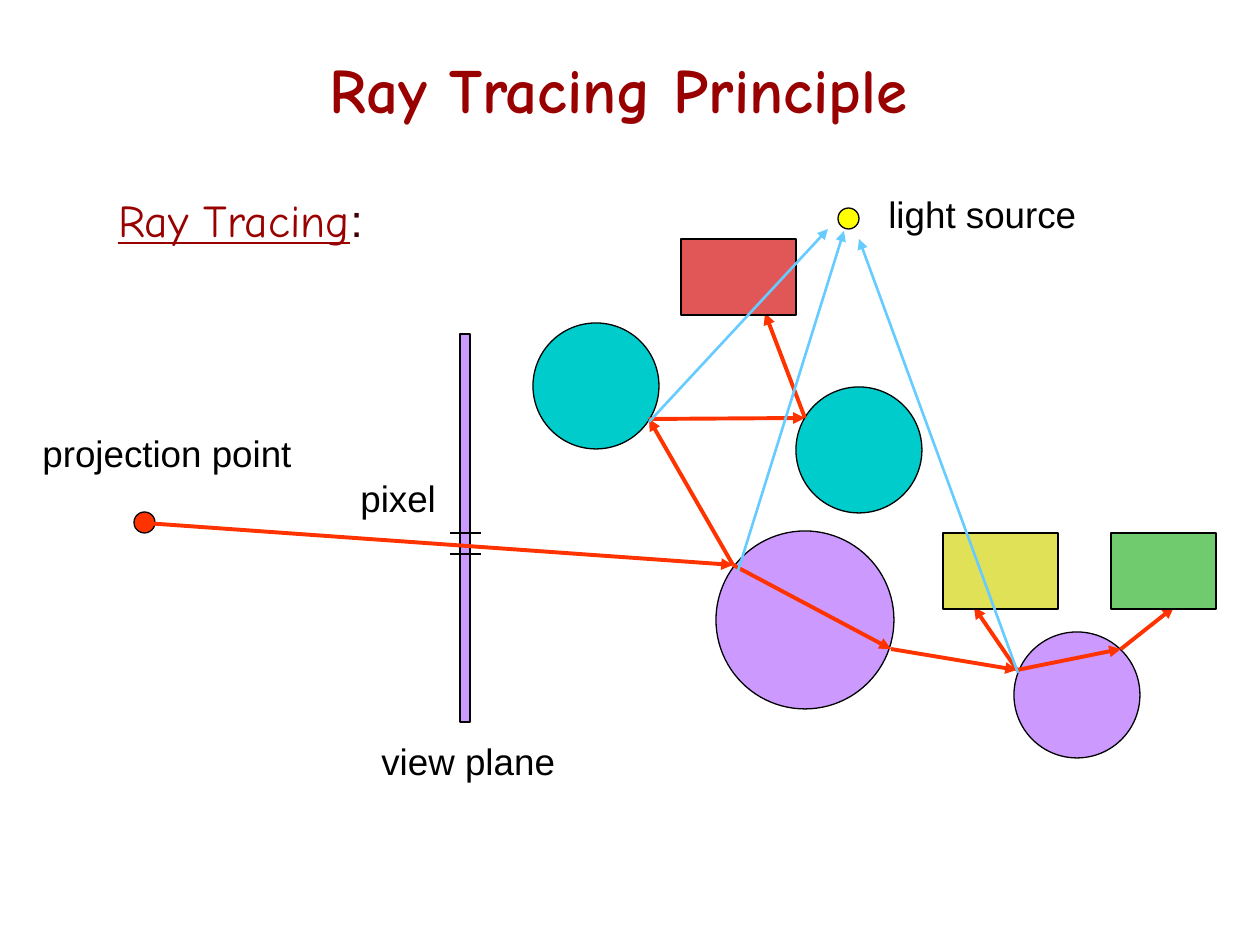
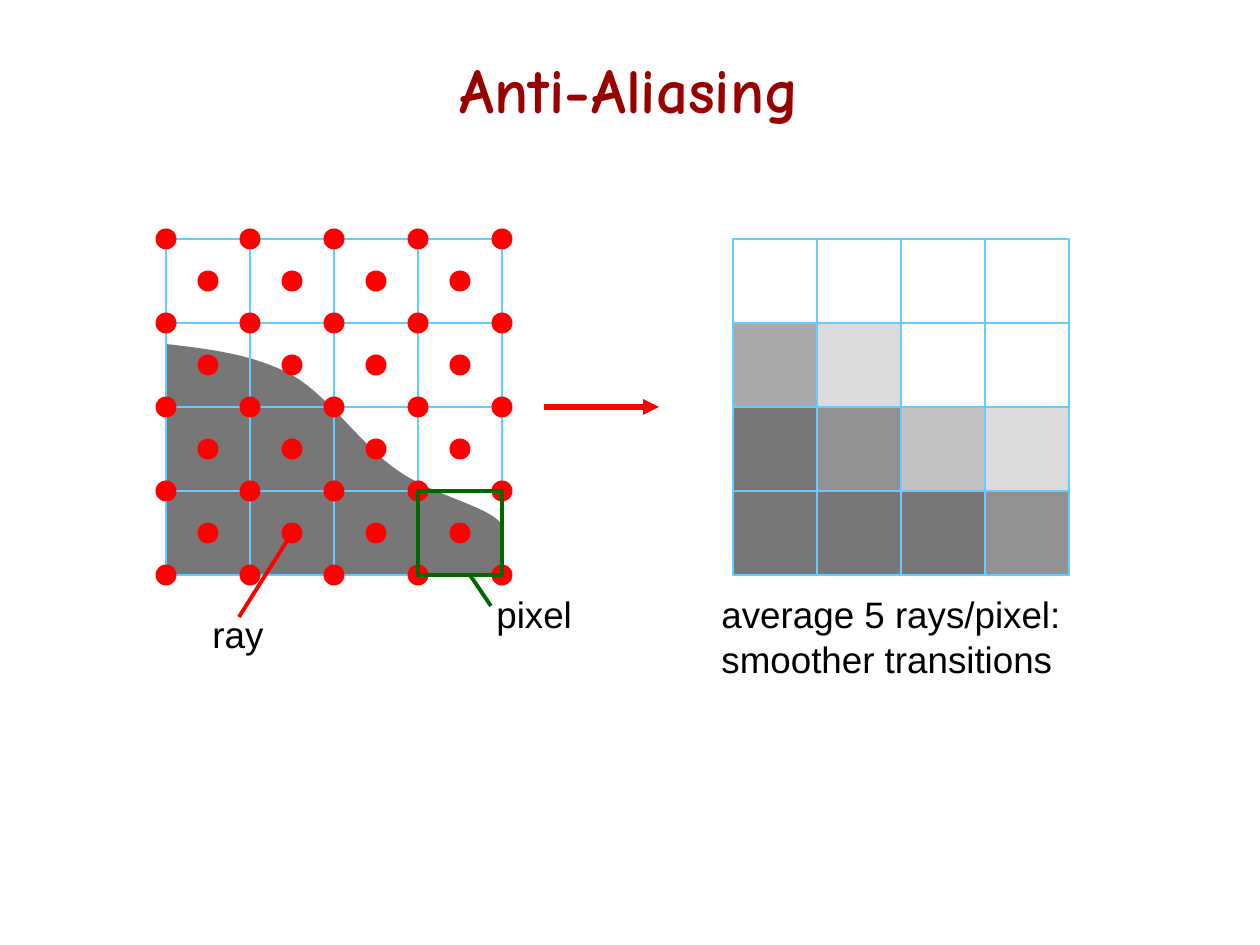
from dataclasses import dataclass
from itertools import product
from lxml.etree import SubElement as Sub
from pptx import Presentation
from pptx.dml.color import RGBColor as RGB
from pptx.enum.shapes import MSO_CONNECTOR as Conn, MSO_SHAPE as Geo
from pptx.enum.text import MSO_ANCHOR as Anchor, MSO_AUTO_SIZE as Auto, PP_ALIGN as Align
from pptx.oxml.ns import qn
from pptx.util import Emu, Pt


@dataclass(frozen=True)
class Theme:
    head: str = "Comic Neue"
    body: str = "Arial"
    big: int = 36
    mid: int = 26
    small: int = 21
    wine: str = "990000"
    brown: str = "400000"
    black: str = "000000"
    flame: str = "FF3300"
    red: str = "FF0000"
    sky: str = "66CCFF"
    lilac: str = "CC99FF"
    teal: str = "00CCCC"
    rose: str = "E15757"
    lemon: str = "E1E157"
    green: str = "70CA6E"
    sun: str = "FFFF00"
    pine: str = "006600"
    dark: str = "777777"
    thin: float = 0.75
    line: float = 1.5
    bold: float = 2.25
    thick: float = 3


T = Theme()
UNIT = 914400 / 126
SIZE = (1260, 945)
TITLE = (94, 32, 1071, 113)

# Slide 1: scene from back to front; a ray runs from its start to its tip
EYE, BALL, LEFT, RIGHT = (145, 523), (733, 565), (649, 419), (805, 418)
EXIT, ORB, REAR = (891, 649), (1017, 670), (1121, 649)
SCENE = [
    ("oval", T.flame, (134, 512, 21, 21)),
    ("rect", T.lilac, (460, 334, 10, 388)),
    ("oval", T.lilac, (716, 531, 178, 178)),
    ("oval", T.teal, (533, 323, 126, 126)),
    ("ray", EYE, BALL),
    ("ray", BALL, LEFT),
    ("ray", LEFT, RIGHT),
    ("oval", T.teal, (796, 387, 126, 126)),
    ("ray", BALL, EXIT),
    ("ray", EXIT, ORB),
    ("oval", T.lilac, (1014, 632, 126, 126)),
    ("ray", ORB, REAR),
    ("ray", REAR, (1174, 607)),
    ("ray", ORB, (974, 607)),
    ("ray", RIGHT, (765, 313)),
    ("rect", T.rose, (681, 239, 115, 76)),
    ("tick", (450, 533), (481, 533)),
    ("tick", (450, 554), (481, 554)),
    ("rect", T.lemon, (943, 533, 115, 76)),
    ("rect", T.green, (1111, 533, 105, 76)),
    ("oval", T.sun, (838, 208, 21, 21)),
    ("light", (738, 571), (844, 231)),
    ("light", (649, 422), (828, 229)),
    ("light", (1018, 673), (859, 239)),
]
LINES = {  # colour, width, arrow
    "ray": (T.flame, T.bold, True),
    "tick": (T.black, T.thin, False),
    "light": (T.sky, T.line, True),
}
NAMES = [
    (["view plane"], (369, 733, 199, 57)),
    (["projection point"], (30, 425, 275, 57)),
    (["pixel"], (348, 470, 101, 57)),
    (["light source"], (876, 186, 213, 57)),
]

# Slide 2: two grids of equal cells
CELL, COUNT, TOP, DOT = 84, 4, 239, 21
RAYS, MEANS = 166, 733
START = (166, 344)
CURVE = [
    ((209, 349), (253, 354), (292, 375)),
    ((330, 397), (362, 446), (397, 470)),
    ((432, 495), (485, 505), (501, 523)),
]
FOOT = [(502, 575), (166, 575)]
TONES = [  # column, row, cells wide, fill
    (0, 3, 3, T.dark), (0, 2, 1, T.dark), (0, 1, 1, "A9A9A9"),
    (1, 2, 1, "919191"), (3, 3, 1, "919191"), (3, 2, 1, "DBDBDB"),
    (2, 2, 1, "C2C2C2"), (1, 1, 1, "DBDBDB"),
]
NOTES = [
    (["pixel"], (484, 586, 101, 57)),
    (["ray"], (200, 606, 76, 57)),
    (["average 5 rays/pixel:", "smoother transitions"], (709, 586, 374, 101)),
]


def emu(*vals):
    return [Emu(round(v * UNIT)) for v in vals]


def paint(item, fill, edge, width):
    item.shadow.inherit = False
    if fill:
        item.fill.solid()
        item.fill.fore_color.rgb = RGB.from_string(fill)
    else:
        item.fill.background()
    if edge:
        item.line.color.rgb = RGB.from_string(edge)
        item.line.width = Pt(width)
    else:
        item.line.fill.background()
    return item


def shape(page, geo, box, fill=None, edge=None, width=T.line):
    return paint(page.shapes.add_shape(geo, *emu(*box)), fill, edge, width)


def link(page, start, end, color, width, arrow=False):
    item = page.shapes.add_connector(Conn.STRAIGHT, *emu(*start, *end))
    item.line.color.rgb = RGB.from_string(color)
    item.line.width = Pt(width)
    prop = item._element.spPr
    if arrow:
        Sub(prop.find(qn("a:ln")), qn("a:tailEnd"), type="triangle")
    Sub(prop, qn("a:effectLst"))
    return item


def add_run(para, text, font, size, color, **style):
    run = para.add_run()
    run.text = text
    run.font.name, run.font.size = font, Pt(size)
    run.font.color.rgb = RGB.from_string(color)
    for key, val in style.items():
        setattr(run.font, key, val)


def text_box(page, box, wrap=True):
    frame = page.shapes.add_textbox(*emu(*box)).text_frame
    frame.word_wrap = wrap
    return frame


def labels(page, items):
    for rows, box in items:
        frame = text_box(page, box, False)
        frame.auto_size = Auto.SHAPE_TO_FIT_TEXT
        for i, row in enumerate(rows):
            para = frame.add_paragraph() if i else frame.paragraphs[0]
            add_run(para, row, T.body, T.small, T.black)


def new_page(deck, title):
    page = deck.slides.add_slide(deck.slide_layouts[6])
    frame = text_box(page, TITLE)
    frame.vertical_anchor = Anchor.MIDDLE
    para = frame.paragraphs[0]
    para.alignment = Align.CENTER
    add_run(para, title, T.head, T.big, T.wine, bold=True)
    return page


def grid(page, left):
    side = CELL * COUNT
    frame = shape(page, Geo.RECTANGLE, (left, TOP, side, side), edge=T.sky)
    for i in range(1, COUNT):
        x, y = left + i * CELL, TOP + i * CELL
        row = link(page, (left, y), (left + side, y), T.sky, T.line)
        col = link(page, (x, TOP), (x, TOP + side), T.sky, T.line)
        if 2 * i == COUNT:
            row.begin_connect(frame, 1)
            row.end_connect(frame, 3)
            col.begin_connect(frame, 0)
            col.end_connect(frame, 2)


def dots(page, count, shift):
    for row, col in product(range(count), repeat=2):
        x = RAYS + col * CELL + shift - DOT / 2
        y = TOP + row * CELL + shift - DOT / 2
        shape(page, Geo.OVAL, (x, y, DOT, DOT), T.red)


def trace(start, curve, steps=16):
    pts = [start]
    for a, b, c in curve:
        o = pts[-1]
        for i in range(1, steps + 1):
            t = i / steps
            u = 1 - t
            pts.append(tuple(u**3 * p + 3 * u * u * t * q + 3 * u * t * t * r + t**3 * s
                             for p, q, r, s in zip(o, a, b, c)))
    return pts


def ray_page(deck):
    page = new_page(deck, "Ray Tracing Principle ")
    geos = {"oval": Geo.OVAL, "rect": Geo.RECTANGLE}
    for kind, one, two in SCENE:
        if kind in geos:
            shape(page, geos[kind], two, one, T.black, T.thin)
        else:
            link(page, one, two, *LINES[kind])
    labels(page, NAMES)
    para = text_box(page, (106, 192, 380, 74)).paragraphs[0]
    para.line_spacing = 0.9
    add_run(para, "Ray Tracing", T.head, T.mid, T.wine, underline=True)
    add_run(para, ":", T.body, T.mid, T.brown)


def alias_page(deck):
    page = new_page(deck, "Anti-Aliasing")
    # Sampled grid
    pts = [emu(*p) for p in trace(START, CURVE) + FOOT]
    form = page.shapes.build_freeform(*pts[0], scale=1.0)
    form.add_line_segments(pts[1:], close=True)
    paint(form.convert_to_shape(), T.dark, None, 0)
    grid(page, RAYS)
    dots(page, COUNT + 1, 0)
    last = (COUNT - 1) * CELL
    shape(page, Geo.RECTANGLE, (RAYS + last, TOP + last, CELL, CELL), None, T.pine, T.bold)
    link(page, (470, 575), (491, 606), T.pine, T.bold)
    link(page, (239, 617), (292, 533), T.red, T.bold)
    dots(page, COUNT, CELL / 2)
    # Averaged grid
    link(page, (544, 407), (659, 407), T.red, T.thick, True)
    for col, row, span, fill in TONES:
        box = (MEANS + col * CELL, TOP + row * CELL, span * CELL, CELL)
        shape(page, Geo.RECTANGLE, box, fill, T.sky)
    grid(page, MEANS)
    labels(page, NOTES)


def main():
    deck = Presentation()
    deck.slide_width, deck.slide_height = emu(*SIZE)
    ray_page(deck)
    alias_page(deck)
    deck.save("out.pptx")


if __name__ == "__main__":
    main()
